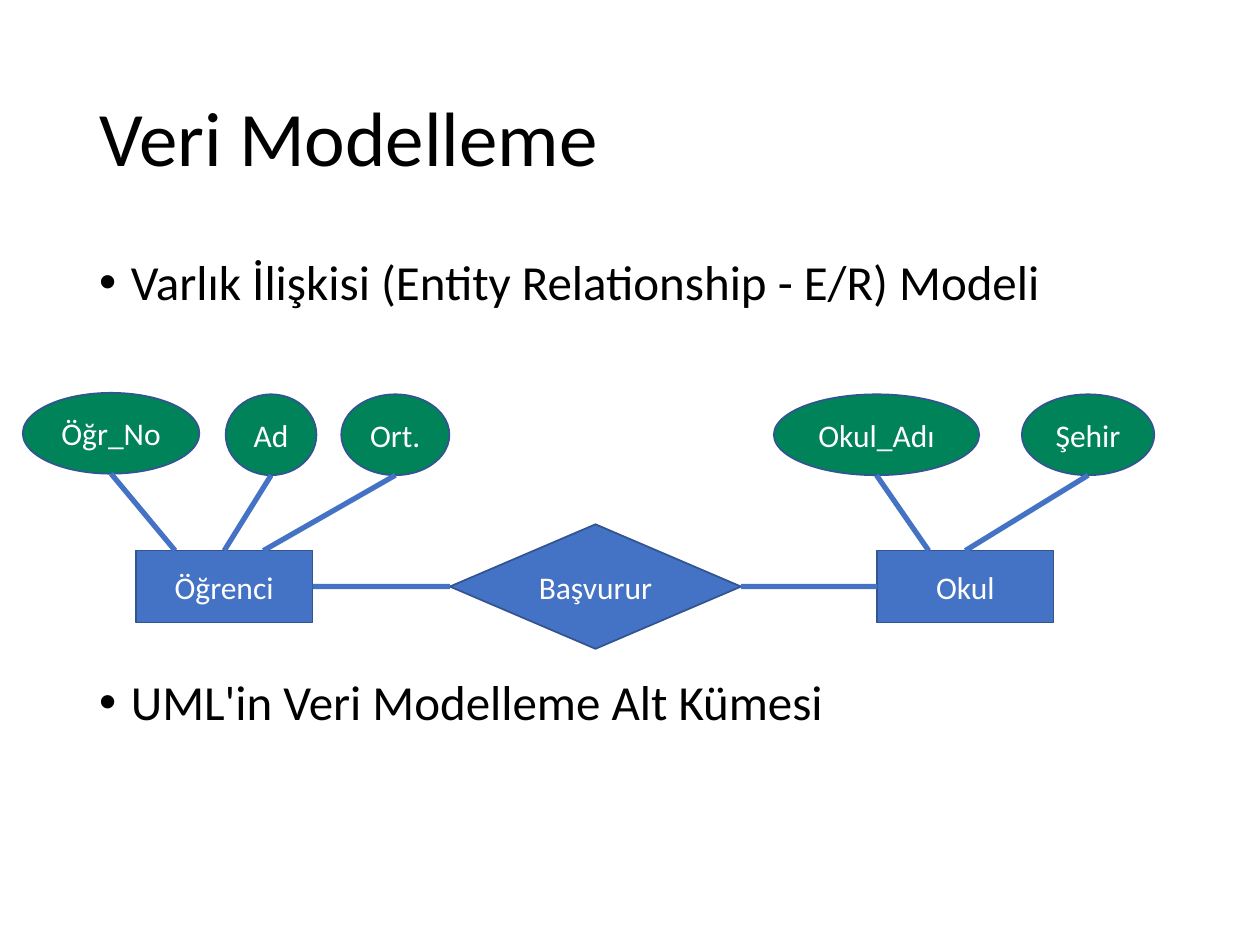
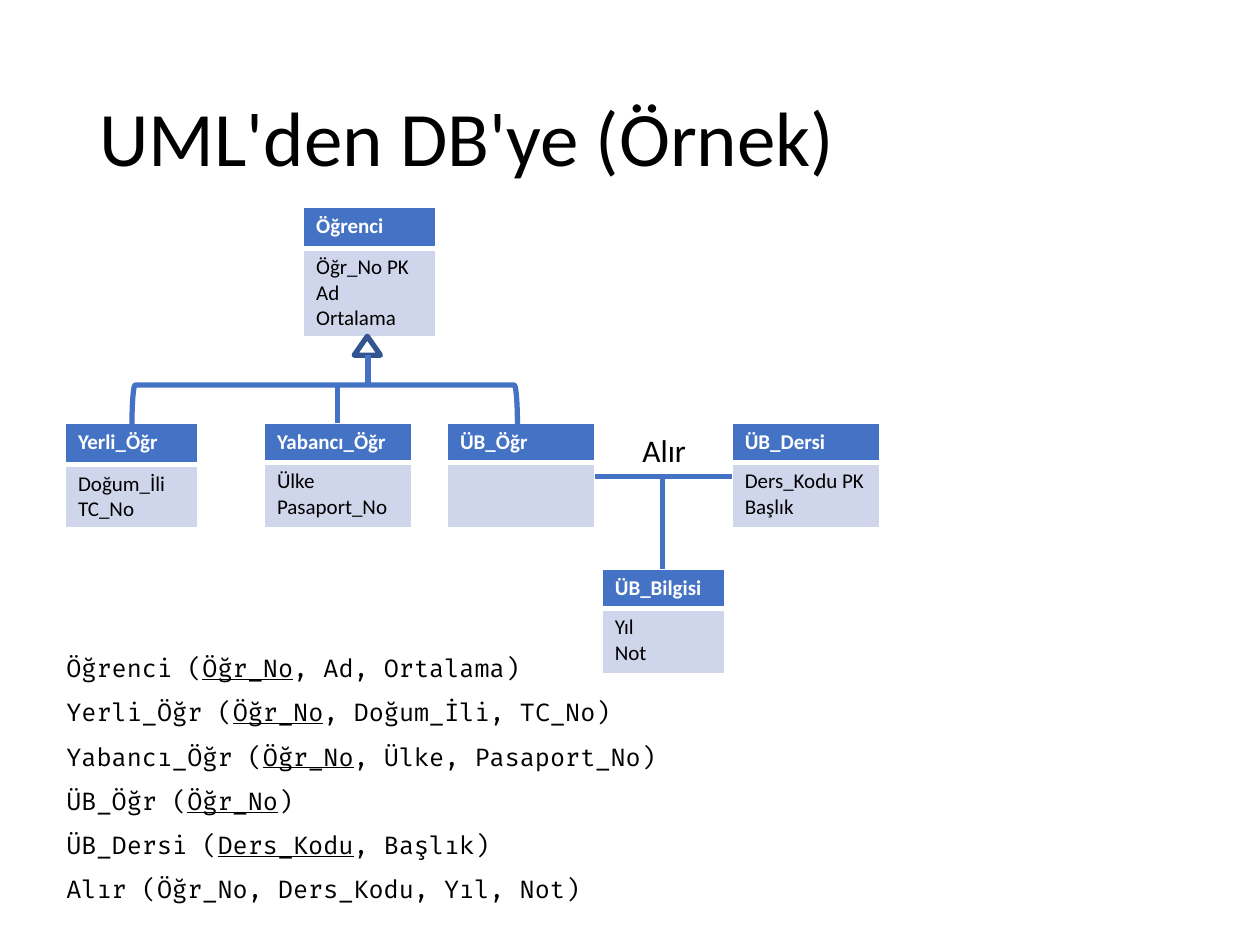
from lxml.etree import SubElement
from pptx import Presentation
from pptx.dml.color import RGBColor
from pptx.enum.shapes import MSO_CONNECTOR, MSO_SHAPE
from pptx.enum.text import MSO_ANCHOR, PP_ALIGN
from pptx.oxml.ns import qn
from pptx.util import Cm, Pt

COLORS = {
    "text": "000000",
    "white": "FFFFFF",
    "blue": "4472C4",
    "outline": "325491",
    "attribute": "008359",
    "table_body": "CFD5EA",
}
BODY_FONT = "Calibri"
CODE_FONT = "Fira Code"
ATTRIBUTE_HEIGHT = 1.63
ENTITY_TOP, ENTITY_WIDTH, ENTITY_HEIGHT = 11.1, 3.56, 1.45
SUBCLASS_TOP = 8.53


def color(name):
    return RGBColor.from_string(COLORS[name])


def format_runs(paragraph, size, color_name="text", font=BODY_FONT, bold=False):
    for run in paragraph.runs:
        run.font.size = Pt(size)
        run.font.name = font
        run.font.bold = bold
        run.font.color.rgb = color(color_name)


def add_text_frame(slide, left, top, width, height, wrap=True):
    box = slide.shapes.add_textbox(Cm(left), Cm(top), Cm(width), Cm(height))
    box.text_frame.word_wrap = wrap
    return box.text_frame


def add_title(slide, text):
    text_frame = add_text_frame(slide, 1.75, 1.02, 21.89, 3.68)
    text_frame.vertical_anchor = MSO_ANCHOR.MIDDLE
    text_frame.text = text
    paragraph = text_frame.paragraphs[0]
    paragraph.line_spacing = 0.9
    format_runs(paragraph, 44)


def add_bullets(slide, bullets):
    text_frame = add_text_frame(slide, 1.75, 5.08, 21.89, 12.09)
    text_frame.text = "\n".join(text for text, _ in bullets)
    for paragraph, (_, space_before) in zip(text_frame.paragraphs, bullets):
        paragraph.line_spacing = 0.9
        paragraph.space_before = Pt(space_before)
        format_runs(paragraph, 28)
        properties = paragraph._p.get_or_add_pPr()
        properties.set("marL", str(Cm(0.64)))
        properties.set("indent", str(-Cm(0.64)))
        SubElement(properties, qn("a:buFont"), typeface="Arial")
        SubElement(properties, qn("a:buChar"), char="•")


def add_outline(slide, kind, left, top, width, height, line, line_width):
    shape = slide.shapes.add_shape(kind, Cm(left), Cm(top), Cm(width), Cm(height))
    shape.shadow.inherit = False
    shape.fill.background()
    shape.line.color.rgb = color(line)
    shape.line.width = Pt(line_width)
    return shape


def add_node(slide, kind, text, left, top, width, height, fill="blue"):
    shape = add_outline(slide, kind, left, top, width, height, "outline", 1)
    shape.fill.solid()
    shape.fill.fore_color.rgb = color(fill)
    text_frame = shape.text_frame
    text_frame.text = text
    text_frame.word_wrap = False
    text_frame.vertical_anchor = MSO_ANCHOR.MIDDLE
    paragraph = text_frame.paragraphs[0]
    paragraph.alignment = PP_ALIGN.CENTER
    format_runs(paragraph, 18, "white")
    return shape


def add_entity(slide, text, left):
    return add_node(slide, MSO_SHAPE.RECTANGLE, text, left, ENTITY_TOP, ENTITY_WIDTH, ENTITY_HEIGHT)


def add_line(slide, start_x, start_y, end_x, end_y):
    line = slide.shapes.add_connector(
        MSO_CONNECTOR.STRAIGHT, Cm(start_x), Cm(start_y), Cm(end_x), Cm(end_y)
    )
    line.line.color.rgb = color("blue")
    line.line.width = Pt(3)
    SubElement(line._element.spPr, qn("a:effectLst"))
    return line


def add_attribute(slide, text, left, top, width, entity_x):
    add_node(slide, MSO_SHAPE.OVAL, text, left, top, width, ATTRIBUTE_HEIGHT, "attribute")
    return add_line(slide, left + width / 2, top + ATTRIBUTE_HEIGHT, entity_x, ENTITY_TOP)


def format_cell(cell, lines, fill, text_color, bold, bottom_border):
    properties = cell._tc.get_or_add_tcPr()
    for side, width in (("L", 1), ("R", 1), ("T", 1), ("B", bottom_border)):
        border = SubElement(properties, qn(f"a:ln{side}"), w=str(Pt(width)))
        border_fill = SubElement(border, qn("a:solidFill"))
        SubElement(border_fill, qn("a:srgbClr"), val=COLORS["white"])
    cell.fill.solid()
    cell.fill.fore_color.rgb = color(fill)
    cell.text_frame.text = "\n".join(lines)
    for paragraph in cell.text_frame.paragraphs:
        format_runs(paragraph, 12, text_color, bold=bold)


def add_class_table(slide, name, fields, left, top, width, height=2.11, header_height=0.79):
    frame = slide.shapes.add_table(2, 1, Cm(left), Cm(top), Cm(width), Cm(height))
    table = frame.table
    table.first_row = False
    table.horz_banding = False
    table.rows[0].height = Cm(header_height)
    table.rows[1].height = Cm(height - header_height)
    format_cell(table.cell(0, 0), [name], "blue", "white", True, 3)
    format_cell(table.cell(1, 0), fields, "table_body", "text", False, 1)


def add_schema(slide, relations):
    text_frame = add_text_frame(slide, 1.09, 12.75, 14.4, 5.56)
    for index, (before, key, after) in enumerate(relations):
        paragraph = text_frame.add_paragraph() if index else text_frame.paragraphs[0]
        paragraph.line_spacing = 1.5
        for text in filter(None, (before, key, after)):
            run = paragraph.add_run()
            run.text = text
            run.font.underline = text == key
        format_runs(paragraph, 14, font=CODE_FONT)


def build_entity_slide(slide):
    add_title(slide, "Veri Modelleme")
    add_bullets(slide, [
        ("Varlık İlişkisi (Entity Relationship - E/R) Modeli", 10),
        ("UML'in Veri Modelleme Alt Kümesi", 210),
    ])
    student = add_entity(slide, "Öğrenci", 2.74)
    school = add_entity(slide, "Okul", 17.68)
    applies = add_node(slide, MSO_SHAPE.DIAMOND, "Başvurur", 9.07, 10.57, 5.87, 2.51)
    for entity, entity_side, diamond_side in ((student, 3, 1), (school, 1, 3)):
        link = add_line(slide, 0, 0, 1, 1)
        link.begin_connect(applies, diamond_side)
        link.end_connect(entity, entity_side)

    add_attribute(slide, "Öğr_No", 0.46, 7.92, 3.56, 3.53)
    name_link = add_attribute(slide, "Ad", 4.55, 7.95, 1.83, 4.52)
    name_link.end_connect(student, 0)
    for text, left, width, entity_x in (
        ("Ort.", 6.88, 2.18, 5.31),
        ("Okul_Adı", 15.6, 4.14, 18.72),
        ("Şehir", 20.6, 2.67, 19.46),
    ):
        add_attribute(slide, text, left, 7.95, width, entity_x)


def build_uml_slide(slide):
    add_title(slide, "UML'den DB'ye (Örnek)")
    add_class_table(slide, "Öğrenci", ["Öğr_No PK", "Ad", "Ortalama"], 6.12, 4.17, 2.67, 2.62, 0.84)
    add_class_table(
        slide, "Yerli_Öğr", ["Doğum_İli", "TC_No"], 1.32, SUBCLASS_TOP, 2.67, header_height=0.84
    )
    for name, fields, left in (
        ("Yabancı_Öğr", ["Ülke", "Pasaport_No"], 5.33),
        ("ÜB_Öğr", [], 9.02),
        ("ÜB_Dersi", ["Ders_Kodu PK", "Başlık"], 14.76),
    ):
        add_class_table(slide, name, fields, left, SUBCLASS_TOP, 2.97)
    add_class_table(slide, "ÜB_Bilgisi", ["Yıl", "Not"], 12.14, 11.48, 2.46)

    add_outline(slide, MSO_SHAPE.ISOSCELES_TRIANGLE, 7.14, 6.78, 0.53, 0.38, "outline", 3)
    bracket = add_outline(slide, MSO_SHAPE.LEFT_BRACKET, 6.15, 4.27, 0.79, 7.77, "blue", 3)
    bracket.rotation = 90
    for ends in (
        (7.42, 7.16, 7.42, 7.77),
        (6.81, 7.77, 6.81, SUBCLASS_TOP),
        (14.76, 9.6, 11.99, 9.6),
        (13.36, 11.48, 13.36, 9.6),
    ):
        add_line(slide, *ends)

    label = add_text_frame(slide, 12.7, 8.56, 1.4, 1.02, wrap=False)
    label.text = "Alır"
    format_runs(label.paragraphs[0], 18)
    add_schema(slide, [
        ("Öğrenci (", "Öğr_No", ", Ad, Ortalama)"),
        ("Yerli_Öğr (", "Öğr_No", ", Doğum_İli, TC_No)"),
        ("Yabancı_Öğr (", "Öğr_No", ", Ülke, Pasaport_No)"),
        ("ÜB_Öğr (", "Öğr_No", ")"),
        ("ÜB_Dersi (", "Ders_Kodu", ", Başlık)"),
        ("Alır (Öğr_No, Ders_Kodu, Yıl, Not)", "", ""),
    ])


def main():
    presentation = Presentation()
    presentation.slide_width = Cm(25.4)
    presentation.slide_height = Cm(19.05)
    blank_layout = presentation.slide_layouts[6]
    for build_slide in (build_entity_slide, build_uml_slide):
        build_slide(presentation.slides.add_slide(blank_layout))
    presentation.save("out.pptx")


if __name__ == "__main__":
    main()
